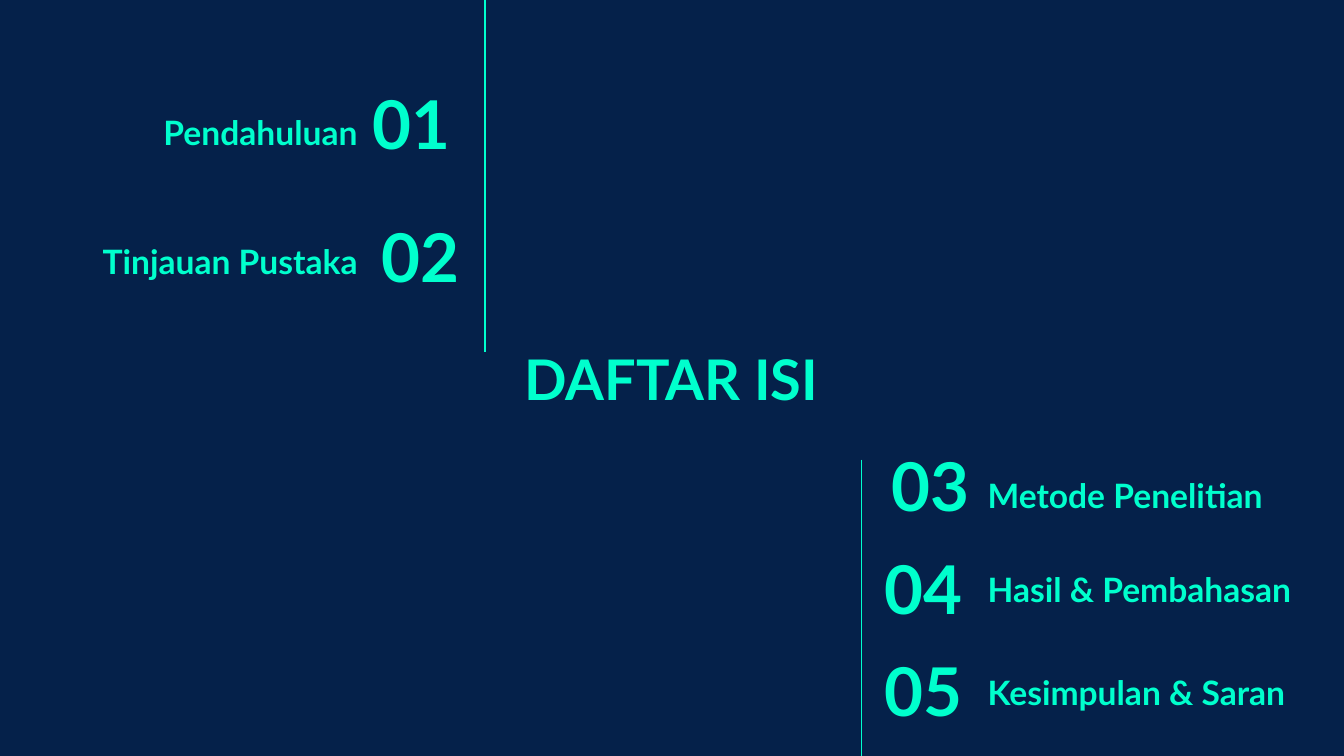
import pptx
import pptx.util
import pptx.dml.color
import pptx.enum.shapes
import pptx.enum.text
import pptx.oxml
import pptx.oxml.ns

Inches = pptx.util.Inches
ALIGN = pptx.enum.text.PP_ALIGN
ANCHOR = pptx.enum.text.MSO_ANCHOR
MINT = "00FFCD"
NAVY = "05214A"

STYLES = {
    "title": {"size": 30, "anchor": ANCHOR.MIDDLE},
    "number": {"size": 36, "anchor": ANCHOR.MIDDLE},
    "label": {"size": 18, "anchor": ANCHOR.BOTTOM},
}


def paint(color_format, hex_color):
    color_format.rgb = pptx.dml.color.RGBColor.from_string(hex_color)


def add_text(page, text, style, align, left, top, width, height):
    box = page.shapes.add_textbox(Inches(left), Inches(top), Inches(width), Inches(height))
    frame = box.text_frame
    frame_format = {"word_wrap": True, "vertical_anchor": STYLES[style]["anchor"]}
    for side in ("left", "right", "top", "bottom"):
        frame_format[f"margin_{side}"] = Inches(0.1)
    for name, value in frame_format.items():
        setattr(frame, name, value)
    para = frame.paragraphs[0]
    para.alignment = align
    span = para.add_run()
    span.text = text
    font_format = {"name": "Lato", "bold": True, "size": pptx.util.Pt(STYLES[style]["size"])}
    for name, value in font_format.items():
        setattr(span.font, name, value)
    paint(span.font.color, MINT)


# Widescreen page, 16:9
deck = pptx.Presentation()
deck.slide_width = Inches(10)
deck.slide_height = Inches(10) * 9 // 16
page = deck.slides.add_slide(deck.slide_layouts[6])
page.background.fill.solid()
paint(page.background.fill.fore_color, NAVY)

# Heading
add_text(page, "DAFTAR ISI", "title", ALIGN.CENTER, 3.7, 2.3, 2.59, 1.03)

# Contents: number with its box, label with its box
entries = [
    ("01", ALIGN.RIGHT, (2.24, 0.6, 1.21, 0.63),
     "Pendahuluan", ALIGN.RIGHT, (0.6, 0.6, 2.16, 0.63)),
    ("02", ALIGN.RIGHT, (2.31, 1.59, 1.21, 0.63),
     "Tinjauan Pustaka", ALIGN.RIGHT, (0.09, 1.76, 2.67, 0.43)),
    ("03", ALIGN.RIGHT, (6.1, 3.29, 1.21, 0.63),
     "Metode Penelitian", ALIGN.LEFT, (7.25, 3.45, 2.77, 0.48)),
    ("04", ALIGN.LEFT, (6.48, 4.06, 1.17, 0.63),
     "Hasil & Pembahasan", ALIGN.LEFT, (7.25, 4.15, 2.64, 0.48)),
    ("05", ALIGN.LEFT, (6.48, 4.82, 1.17, 0.63),
     "Kesimpulan & Saran", ALIGN.LEFT, (7.25, 4.92, 2.64, 0.48)),
]
for number, number_align, number_place, label, label_align, label_place in entries:
    add_text(page, label, "label", label_align, *label_place)
    add_text(page, number, "number", number_align, *number_place)

# Vertical rules beside the two groups
for x, top, bottom in [(3.61, 0, 2.62), (6.41, 3.42, 5.64)]:
    rule = page.shapes.add_connector(
        pptx.enum.shapes.MSO_CONNECTOR.STRAIGHT,
        Inches(x), Inches(top), Inches(x), Inches(bottom))
    rule.line.width = pptx.util.Pt(0.75)
    paint(rule.line.color, MINT)
    properties = rule._element.spPr
    properties.append(pptx.oxml.parse_xml(
        f"<a:effectLst {pptx.oxml.ns.nsdecls('a')}/>"))

deck.save("out.pptx")
